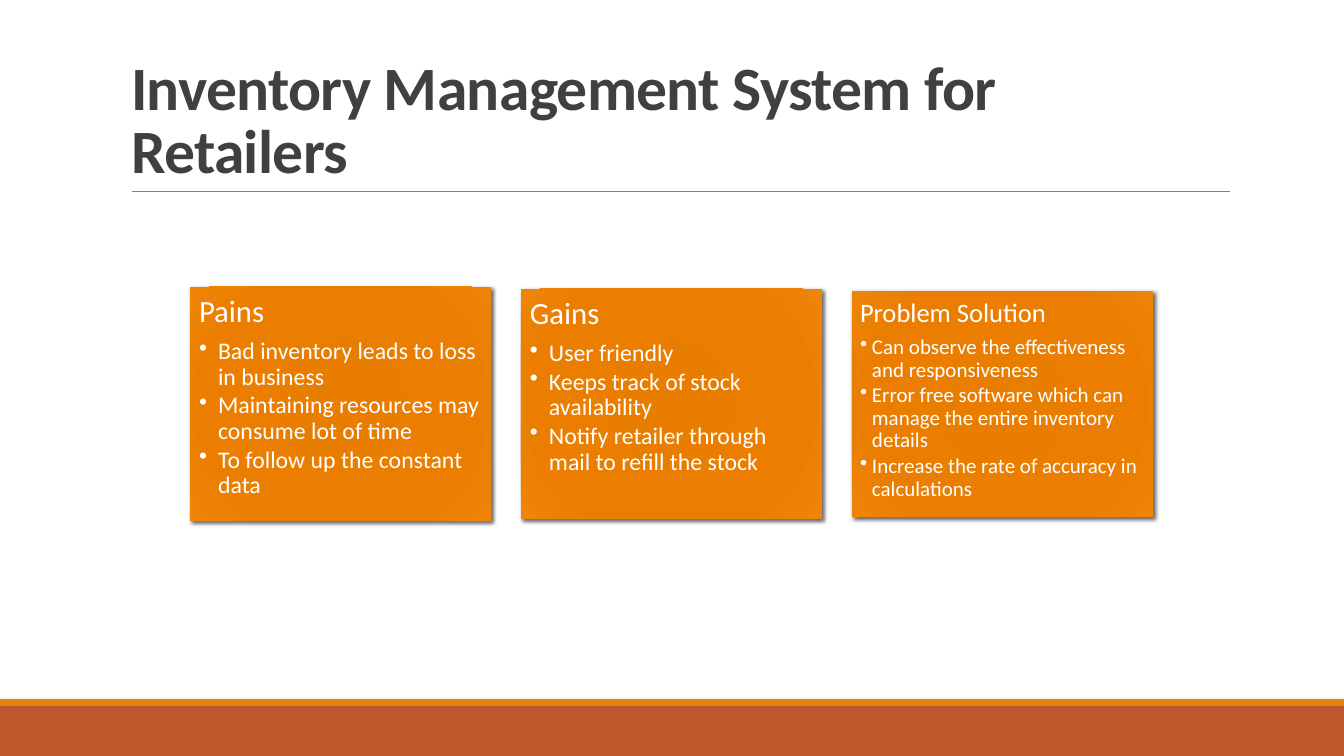
from dataclasses import dataclass

from lxml.etree import SubElement
from pptx import Presentation
from pptx.dml.color import RGBColor
from pptx.enum.shapes import MSO_CONNECTOR, MSO_SHAPE
from pptx.enum.text import MSO_ANCHOR, MSO_AUTO_SIZE, PP_ALIGN
from pptx.oxml import parse_xml
from pptx.oxml.ns import nsdecls, qn
from pptx.util import Pt

EMU_PER_INCH = 914400
PX_PER_INCH = 100.8


def px(length):
    return round(length * EMU_PER_INCH / PX_PER_INCH)


@dataclass(frozen=True)
class Theme:
    font: str = "Calibri"
    title_color: str = "404040"
    card_text: str = "FFFFFF"
    rule: str = "808080"
    accent: str = "E48312"
    footer: str = "BD582C"
    shadow: str = "000000"
    card_stops: tuple = ((0, "E57B00"), (34, "E87D00"), (70, "EB7E00"), (100, "EF8407"))
    title_size: int = 44


@dataclass(frozen=True)
class CardStyle:
    heading_size: int
    bullet_size: int
    inset: int
    indent: int
    heading_gap: int
    bullet_gap: int = 2


THEME = Theme()
REGULAR = CardStyle(heading_size=22, bullet_size=17, inset=9, indent=19, heading_gap=7)
COMPACT = CardStyle(heading_size=19, bullet_size=15, inset=8, indent=12, heading_gap=6)

CARDS = [
    ("Pains", ["Bad inventory leads to loss in business",
               "Maintaining resources may consume lot of time",
               "To follow up the constant data"], 234, REGULAR),
    ("Gains", ["User friendly",
               "Keeps track of stock availability",
               "Notify retailer through mail to refill the stock"], 230, REGULAR),
    ("Problem Solution", ["Can observe the effectiveness and responsiveness",
                          "Error free software which can manage the entire inventory details",
                          "Increase the rate of accuracy in calculations"], 226, COMPACT),
]


def add_run(paragraph, text, size, color, bold=False):
    run = paragraph.add_run()
    run.text = text
    run.font.name = THEME.font
    run.font.size = Pt(size)
    run.font.bold = bold
    run.font.color.rgb = RGBColor.from_string(color)
    return run


def add_rectangle(slide, left, top, width, height):
    shape = slide.shapes.add_shape(
        MSO_SHAPE.RECTANGLE, px(left), px(top), px(width), px(height))
    shape.shadow.inherit = False
    shape.line.fill.background()
    return shape


def add_footer(slide, left, top, width, height):
    stripe_height = 7
    bands = [(top + stripe_height, height - stripe_height, THEME.footer),
             (top, stripe_height, THEME.accent)]
    for band_top, band_height, color in bands:
        band = add_rectangle(slide, left, band_top, width, band_height)
        band.fill.solid()
        band.fill.fore_color.rgb = RGBColor.from_string(color)


def add_title(slide, text, left, top, width, height):
    title = slide.shapes.title
    title.left, title.top, title.width, title.height = map(px, (left, top, width, height))
    frame = title.text_frame
    frame.word_wrap = True
    frame.auto_size = MSO_AUTO_SIZE.NONE
    frame.vertical_anchor = MSO_ANCHOR.BOTTOM
    paragraph = frame.paragraphs[0]
    paragraph.alignment = PP_ALIGN.LEFT
    paragraph.line_spacing = 0.85
    run = add_run(paragraph, text, THEME.title_size, THEME.title_color, bold=True)
    run.font._element.set("spc", "-50")

    bottom = px(top + height)
    rule = slide.shapes.add_connector(
        MSO_CONNECTOR.STRAIGHT, px(left + 11), bottom, px(left + width), bottom)
    rule.line.color.rgb = RGBColor.from_string(THEME.rule)
    rule.line.width = Pt(0.5)
    SubElement(rule._element.spPr, qn("a:effectLst"))


def style_card(card):
    stops = "".join(
        f'<a:gs pos="{position * 1000}"><a:srgbClr val="{color}"/></a:gs>'
        for position, color in THEME.card_stops)
    gradient = parse_xml(
        f'<a:gradFill {nsdecls("a")} rotWithShape="1"><a:gsLst>{stops}</a:gsLst>'
        '<a:path path="circle"><a:fillToRect l="100000" t="100000" r="100000" b="100000"/>'
        '</a:path></a:gradFill>')
    shadow = parse_xml(
        f'<a:outerShdw {nsdecls("a")} blurRad="{Pt(3)}" dist="{Pt(2)}" dir="2700000" '
        f'algn="tl" rotWithShape="0"><a:srgbClr val="{THEME.shadow}">'
        '<a:alpha val="60000"/></a:srgbClr></a:outerShdw>')
    properties = card._element.spPr
    properties.find(qn("a:prstGeom")).addnext(gradient)
    properties.find(qn("a:effectLst")).append(shadow)


def add_card(slide, heading, bullets, style, left, top, width, height):
    card = add_rectangle(slide, left, top, width, height)
    style_card(card)
    frame = card.text_frame
    frame.word_wrap = True
    frame.vertical_anchor = MSO_ANCHOR.TOP
    frame.margin_left = frame.margin_right = px(style.inset)
    frame.margin_top = frame.margin_bottom = px(style.inset)

    paragraph = frame.paragraphs[0]
    paragraph.alignment = PP_ALIGN.LEFT
    paragraph.line_spacing = 0.9
    paragraph.space_after = Pt(style.heading_gap)
    add_run(paragraph, heading, style.heading_size, THEME.card_text)

    for bullet in bullets:
        paragraph = frame.add_paragraph()
        paragraph.level = 1
        paragraph.alignment = PP_ALIGN.LEFT
        paragraph.line_spacing = 0.9
        paragraph.space_after = Pt(style.bullet_gap)
        properties = paragraph._p.get_or_add_pPr()
        properties.set("marL", str(px(style.indent)))
        properties.set("indent", str(-px(style.indent)))
        SubElement(properties, qn("a:buChar"), char="•")
        add_run(paragraph, bullet, style.bullet_size, THEME.card_text)


def add_card_row(slide, left, top, width, height):
    gap = 30
    card_width = (width - gap * (len(CARDS) - 1)) / len(CARDS)
    for index, (heading, bullets, card_height, style) in enumerate(CARDS):
        add_card(slide, heading, bullets, style,
                 left + index * (card_width + gap), top + (height - card_height) / 2,
                 card_width, card_height)


def main():
    presentation = Presentation()
    presentation.slide_width = px(1344)
    presentation.slide_height = px(756)
    slide = presentation.slides.add_slide(presentation.slide_layouts[5])
    add_footer(slide, 0, 699, 1344, 57)
    add_title(slide, "Inventory Management System for Retailers", 121, 31, 1109, 160)
    add_card_row(slide, 190, 287, 963, 234)
    presentation.save("out.pptx")


if __name__ == "__main__":
    main()
